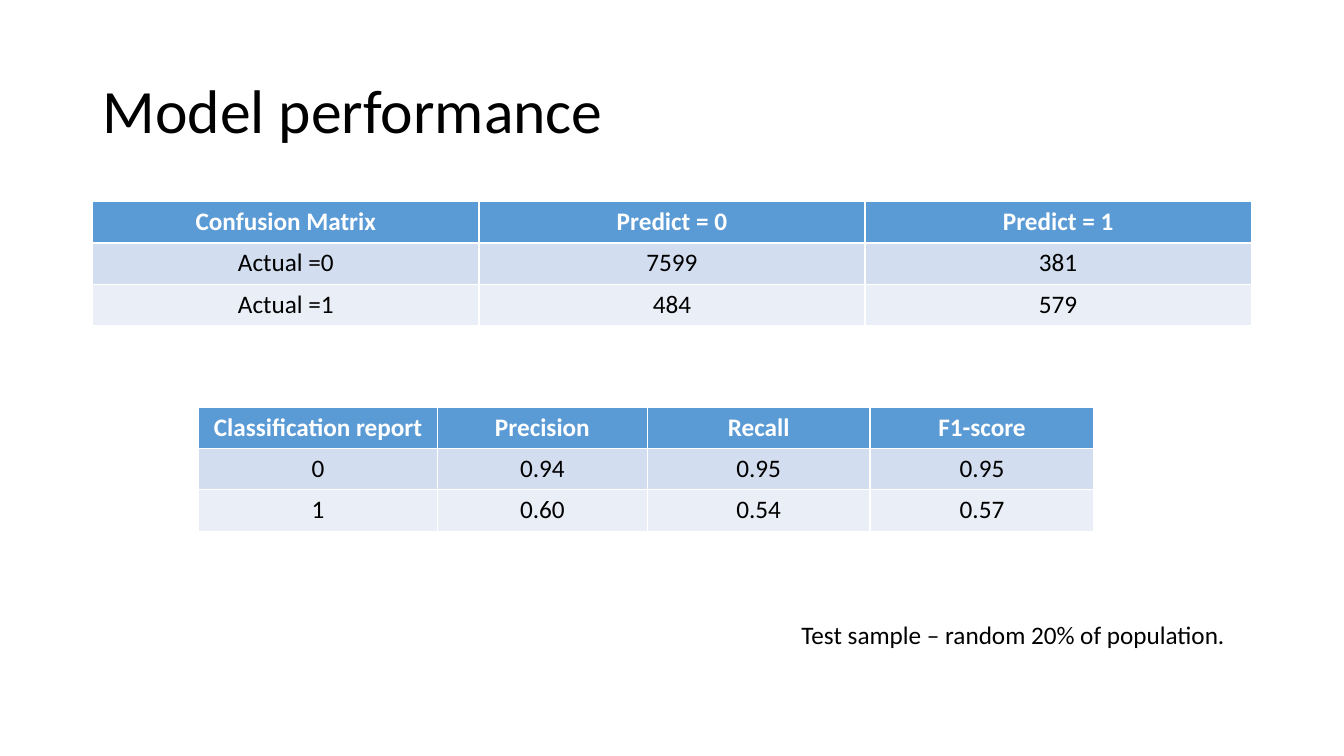
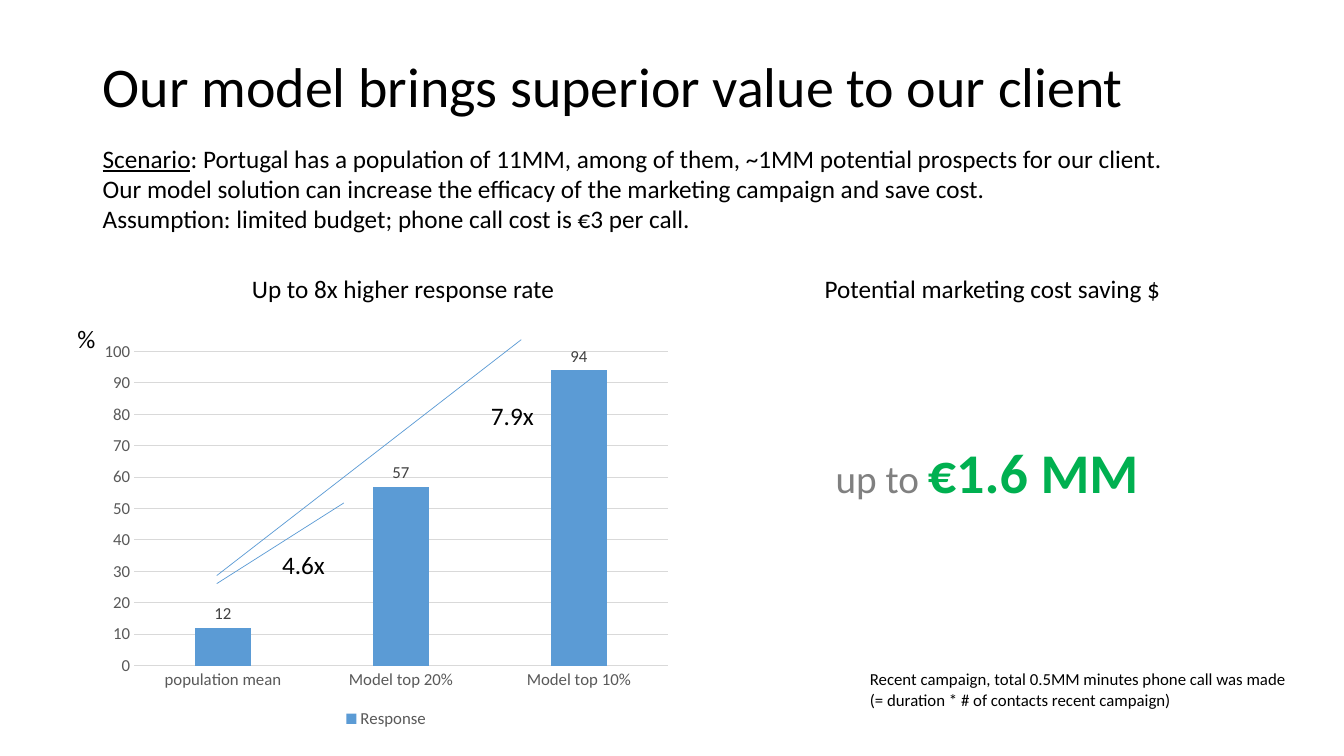
from pptx import Presentation
from pptx.chart.data import CategoryChartData
from pptx.dml.color import RGBColor
from pptx.enum.chart import XL_CHART_TYPE as ChartType, XL_LABEL_POSITION as LabelPosition
from pptx.enum.chart import XL_LEGEND_POSITION as LegendPosition, XL_TICK_MARK as TickMark
from pptx.enum.shapes import MSO_CONNECTOR as Connector
from pptx.enum.text import MSO_ANCHOR as Anchor, PP_ALIGN as Align
from pptx.oxml.ns import qn
from pptx.util import Inches, Pt

BLUE, BLACK, WHITE = "5B9BD5", "000000", "FFFFFF"
GREY, GRID, LABEL = "595959", "D9D9D9", "404040"
BAND_FILLS = [BLUE, "D2DEEF", "EAEFF7"]
color = RGBColor.from_string
BODY = {"name": "Calibri", "size": Pt(18), "bold": False}
SMALL = {**BODY, "size": Pt(12)}


def format_font(font, values, hex_color=BLACK):
    """Set the font attributes in values, and the colour."""
    for name, value in values.items():
        setattr(font, name, value)
    font.color.rgb = color(hex_color)


def add_text(slide, box, paragraphs, wrap=False, values=BODY):
    """Add a text box; each paragraph is a list of (text, changes, colour) runs."""
    frame = slide.shapes.add_textbox(*map(Inches, box)).text_frame
    frame.word_wrap = wrap
    for index, runs in enumerate(paragraphs):
        paragraph = frame.add_paragraph() if index else frame.paragraphs[0]
        for text, changes, hex_color in runs:
            run = paragraph.add_run()
            run.text = text
            format_font(run.font, {**values, **changes}, hex_color)


presentation = Presentation()
presentation.slide_width = Inches(13.33)
presentation.slide_height = Inches(7.5)

# Titles of both slides
slides = []
for title_text, height, size in [
    ("Model performance", 1.45, 44),
    ("Our model brings superior value to our client", 0.97, 40),
]:
    slide = presentation.slides.add_slide(presentation.slide_layouts[5])
    title = slide.shapes.title
    title.left, title.top, title.width, title.height = map(Inches, (0.92, 0.4, 11.5, height))
    title.text_frame.text = title_text
    title.text_frame.vertical_anchor = Anchor.MIDDLE
    paragraph = title.text_frame.paragraphs[0]
    paragraph.alignment = Align.LEFT
    paragraph.line_spacing = 0.9
    format_font(paragraph.runs[0].font, {**BODY, "size": Pt(size)})
    slides.append(slide)
performance, value = slides

# Slide 1: two result tables
ROW_HEIGHT = 0.41
confusion_matrix = [
    ["Confusion Matrix", "Predict = 0", "Predict = 1"],
    ["Actual =0", "7599", "381"],
    ["Actual =1", "484", "579"],
]
classification_report = [
    ["Classification report", "Precision", "Recall", "F1-score"],
    ["0", "0.94", "0.95", "0.95"],
    ["1", "0.60", "0.54", "0.57"],
]
for left, top, widths, rows in [
    (0.92, 2, [3.83] * 3, confusion_matrix),
    (1.97, 4.04, [2.37, 2.08, 2.21, 2.22], classification_report),
]:
    box = map(Inches, (left, top, sum(widths), ROW_HEIGHT * len(rows)))
    table = performance.shapes.add_table(len(rows), len(widths), *box).table
    for column, width in zip(table.columns, widths):
        column.width = Inches(width)
    for row_index, row in enumerate(rows):
        is_header = row_index == 0
        for column_index, text in enumerate(row):
            cell = table.cell(row_index, column_index)
            cell.text = text
            cell.fill.solid()
            cell.fill.fore_color.rgb = color(BAND_FILLS[row_index])
            paragraph = cell.text_frame.paragraphs[0]
            paragraph.alignment = Align.CENTER
            format_font(paragraph.runs[0].font, {**BODY, "bold": is_header},
                        WHITE if is_header else BLACK)

add_text(performance, (7.85, 6.09, 4.45, 0.4),
         [[("Test sample – random 20% of population.", {}, BLACK)]])

# Slide 2: response rate chart
chart_data = CategoryChartData()
chart_data.categories = ["population mean", "Model top 20%", "Model top 10%"]
chart_data.add_series("Response", [12, 57, 94])
chart = value.shapes.add_chart(
    ChartType.COLUMN_CLUSTERED, *map(Inches, (0.92, 3.31, 5.82, 3.96)), chart_data).chart
chart.has_title = False
chart.has_legend = True
chart.legend.position = LegendPosition.BOTTOM
chart.legend.include_in_layout = False
for part, hex_color in [(chart, BLACK), (chart.legend, GREY)]:
    format_font(part.font, SMALL, hex_color)

category_axis, value_axis = chart.category_axis, chart.value_axis
for axis in (category_axis, value_axis):
    axis.major_tick_mark = axis.minor_tick_mark = TickMark.NONE
    format_font(axis.tick_labels.font, SMALL, GREY)
value_axis.minimum_scale, value_axis.maximum_scale, value_axis.major_unit = 0, 100, 10
value_axis.format.line.fill.background()
for line in (category_axis.format.line, value_axis.major_gridlines.format.line):
    line.color.rgb = color(GRID)
    line.width = Pt(0.75)

plot = chart.plots[0]
plot.gap_width, plot.overlap = 219, -27
plot.vary_by_categories = False
series = plot.series[0]
series.format.fill.solid()
series.format.fill.fore_color.rgb = color(BLUE)
labels = series.data_labels
labels.show_value = True
labels.position = LabelPosition.OUTSIDE_END
format_font(labels.font, SMALL, LABEL)

# Lines from the population mean to each model group
for ends in [(5.17, 3.37, 2.15, 5.71), (3.41, 4.99, 2.15, 5.79)]:
    connector = value.shapes.add_connector(Connector.STRAIGHT, *map(Inches, ends))
    connector.line.color.rgb = color(BLUE)
    connector.line.width = Pt(0.5)
    properties = connector._element.spPr
    properties.append(properties.makeelement(qn("a:effectLst"), {}))

for box, text in [
    ((4.77, 3.92, 0.92, 0.4), "7.9x"),
    ((2.7, 5.4, 0.63, 0.4), "4.6x"),
    ((0.67, 3.16, 0.38, 0.4), "%"),
    ((2.4, 2.66, 3.24, 0.4), "Up to 8x higher response rate"),
    ((8.08, 2.66, 3.57, 0.4), "Potential marketing cost saving $"),
]:
    add_text(value, box, [[(text, {}, BLACK)]])

scenario = (": Portugal has a population of 11MM, among of them, ~1MM potential prospects "
            "for our client. Our model solution can increase the efficacy of the marketing "
            "campaign and save cost.")
add_text(value, (0.92, 1.37, 11.11, 1.01), [
    [("Scenario", {"underline": True}, BLACK), (scenario, {}, BLACK)],
    [("Assumption: limited budget; phone call cost is €3 per call.", {}, BLACK)],
], wrap=True)
add_text(value, (8.19, 4.29, 3.2, 0.77), [
    [("up to ", {"size": Pt(28)}, "808080"),
     ("€1.6 MM", {"size": Pt(40), "bold": True}, "00B050")],
])
add_text(value, (8.53, 6.59, 4.37, 0.5), [
    [("Recent campaign, total 0.5MM minutes phone call was made", {}, BLACK)],
    [("(= duration * # of contacts recent campaign)", {}, BLACK)],
], values=SMALL)

presentation.save("out.pptx")
